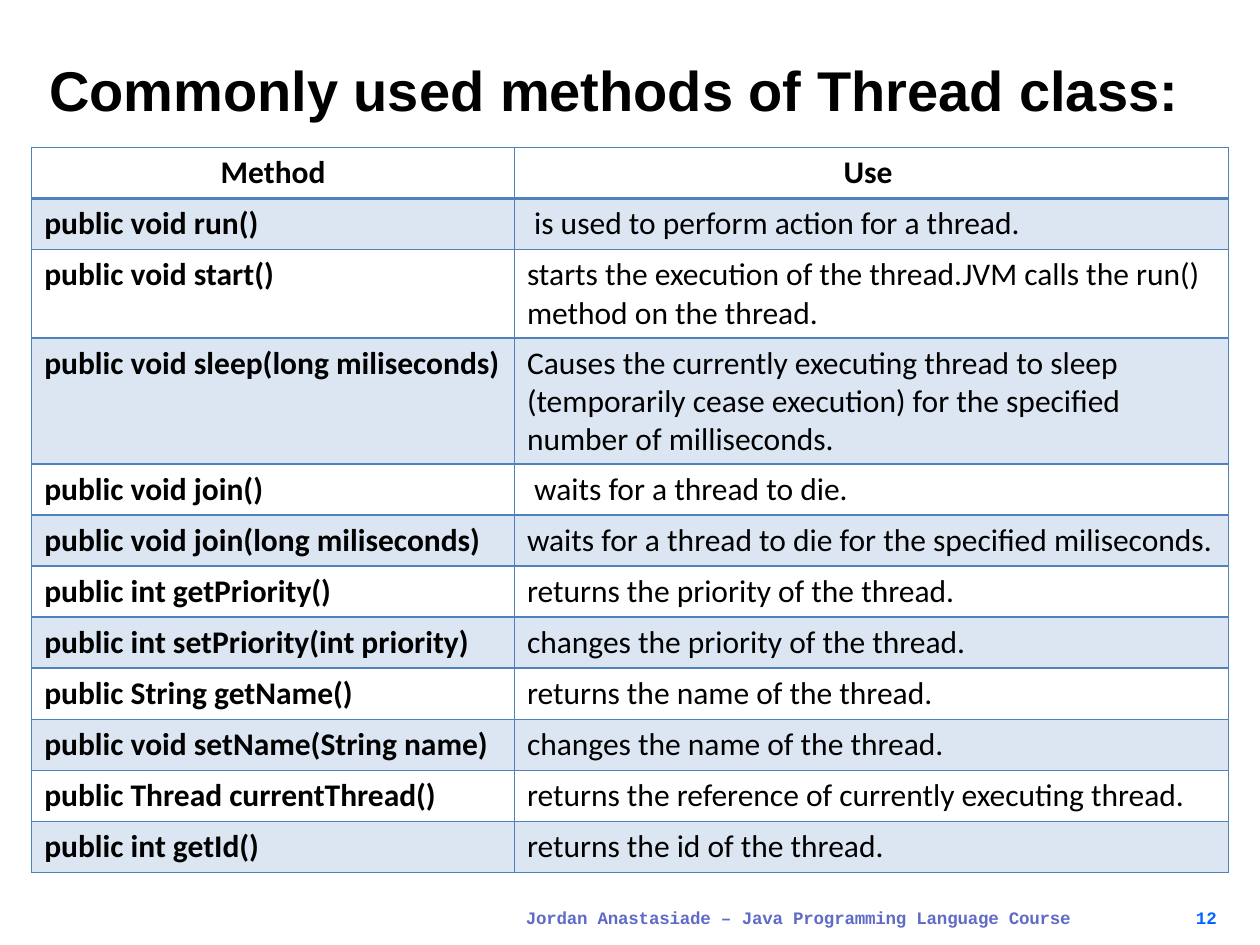
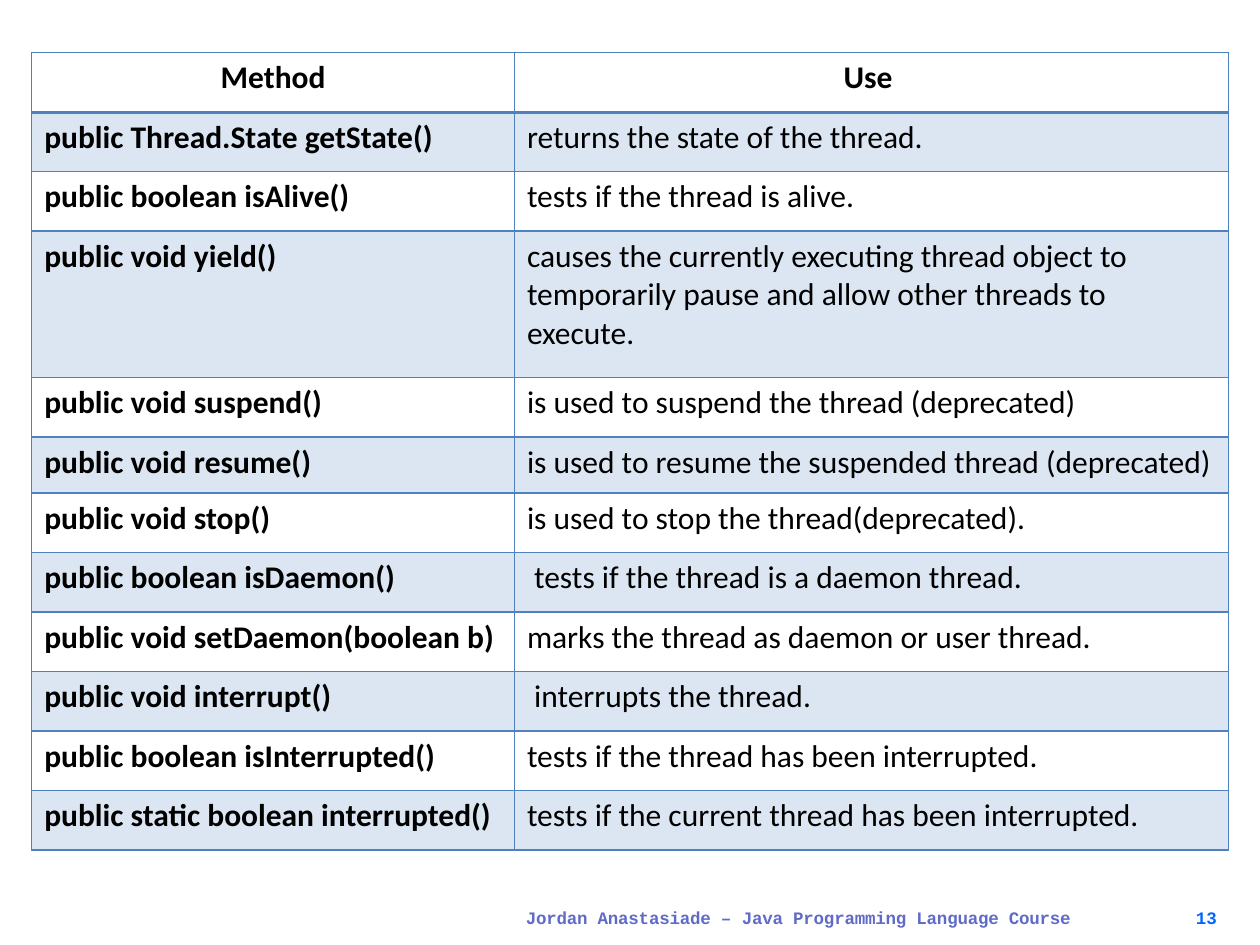
from lxml.etree import SubElement
from pptx import Presentation
from pptx.dml.color import RGBColor
from pptx.enum.text import MSO_ANCHOR, MSO_AUTO_SIZE, PP_ALIGN
from pptx.oxml.ns import qn
from pptx.util import Cm, Pt

COLORS = {"text": "000000", "border": "4F81BD", "band": "DCE6F2",
          "footer": "606BC8", "number": "0066FF"}
NBSP = "\u00a0"
COLUMNS = (9.73, 14.4)
ROW_1, ROW_2 = 1.03, 1.2

slides = [
    {
        "number": "12",
        "title": "Commonly used methods of Thread class:",
        "top": 2.97,
        "heights": [ROW_1] * 12,
        "methods": [
            ("public void run()", NBSP + "is used to perform action for a thread."),
            ("public void start()", "starts the execution of the thread.JVM calls "
             "the run() method on the thread."),
            ("public void sleep(long miliseconds)", "Causes the currently executing "
             "thread to sleep (temporarily cease execution) for the specified "
             "number of milliseconds."),
            ("public void join()", NBSP + "waits for a thread to die."),
            ("public void join(long miliseconds)",
             "waits for a thread to die for the specified miliseconds."),
            ("public int getPriority()", "returns the priority of the thread."),
            ("public int setPriority(int priority)", "changes the priority of the thread."),
            ("public String getName()", "returns the name of the thread."),
            ("public void setName(String name)", "changes the name of the thread."),
            ("public Thread currentThread()",
             "returns the reference of currently executing thread."),
            ("public int getId()", "returns the id of the thread."),
        ],
    },
    {
        "number": "13",
        "title": None,
        "top": 1.06,
        "heights": [ROW_2] * 3 + [2.95, ROW_2, 1.13] + [ROW_2] * 6,
        "methods": [
            ("public Thread.State getState()", "returns the state of the thread."),
            ("public boolean isAlive()", "tests if the thread is alive."),
            ("public void yield()", "causes the currently executing thread object to "
             "temporarily pause and allow other threads to execute."),
            ("public void suspend()", "is used to suspend the thread (deprecated)"),
            ("public void resume()", "is used to resume the suspended thread (deprecated)"),
            ("public void stop()", "is used to stop the thread(deprecated)."),
            ("public boolean isDaemon()", NBSP + "tests if the thread is a daemon thread."),
            ("public void setDaemon(boolean b)", "marks the thread as daemon or user thread."),
            ("public void interrupt()", NBSP + "interrupts the thread."),
            ("public boolean isInterrupted()", "tests if the thread has been interrupted."),
            ("public static boolean interrupted()",
             "tests if the current thread has been interrupted."),
        ],
    },
]


def add_run(p, text, font, size, color, bold=True, spacing=0):
    """Append one formatted run; spacing is in hundredths of a point."""
    r = p.add_run()
    r.text = text
    r.font.name, r.font.size, r.font.bold = font, Pt(size), bold
    r.font.color.rgb = RGBColor.from_string(COLORS[color])
    if spacing:
        r.font._element.set("spc", str(spacing))


def set_border(cell, side, width):
    """Draw one side (L, R, T or B) of a cell."""
    ln = SubElement(cell._tc.get_or_add_tcPr(), qn(f"a:ln{side}"), w=str(Pt(width)))
    fill = SubElement(ln, qn("a:solidFill"))
    SubElement(fill, qn("a:srgbClr"), val=COLORS["border"])


prs = Presentation()
prs.slide_width, prs.slide_height = Cm(25.4), Cm(19.05)
title_only, blank = prs.slide_layouts[5], prs.slide_layouts[6]

for content in slides:
    s = prs.slides.add_slide(title_only if content["title"] else blank)

    # Footer and page number: left, width, indent, runs
    footer = [("Jordan Anastasiade ", "footer", -10), ("– ", "footer", 0),
              ("Java Programming Language Course", "footer", -10)]
    number = [(content["number"], "number", 0)]
    for left, width, indent, runs in ((10.57, 11.28, 0.03, footer),
                                      (24.03, 0.56, 0.08, number)):
        sp = s.shapes.add_textbox(Cm(left), Cm(18.31), Cm(width), Cm(0.48))
        tf = sp.text_frame
        tf.word_wrap = True
        tf.margin_left = tf.margin_right = tf.margin_top = tf.margin_bottom = 0
        p = tf.paragraphs[0]
        p.line_spacing = Pt(11.3)
        p._p.get_or_add_pPr().set("marL", str(Cm(indent)))
        for text, color, spacing in runs:
            add_run(p, text, "Courier New", 10, color, spacing=spacing)

    if content["title"]:
        sp = s.shapes.title
        sp.left, sp.top, sp.width, sp.height = Cm(0.99), Cm(1.07), Cm(23.77), Cm(1.4)
        tf = sp.text_frame
        tf.word_wrap = True
        tf.auto_size = MSO_AUTO_SIZE.NONE
        tf.vertical_anchor = MSO_ANCHOR.BOTTOM
        tf.margin_left = tf.margin_right = tf.margin_top = tf.margin_bottom = 0
        p = tf.paragraphs[0]
        p.alignment = PP_ALIGN.LEFT
        add_run(p, content["title"], "Arial", 32, "text")

    # Method table: header row, then alternating bands
    rows = [("Method", "Use ")] + content["methods"]
    heights = content["heights"]
    table = s.shapes.add_table(len(rows), len(COLUMNS), Cm(0.64), Cm(content["top"]),
                               Cm(sum(COLUMNS)), Cm(sum(heights))).table
    table.horz_banding = False
    for column, width in zip(table.columns, COLUMNS):
        column.width = Cm(width)
    for i, (row, height, texts) in enumerate(zip(table.rows, heights, rows)):
        row.height = Cm(height)
        for j, (cell, text) in enumerate(zip(row.cells, texts)):
            for side in "LRTB":
                header_rule = (i, side) in ((0, "B"), (1, "T"))
                set_border(cell, side, 2 if header_rule else 1)
            if i % 2:
                cell.fill.solid()
                cell.fill.fore_color.rgb = RGBColor.from_string(COLORS["band"])
            else:
                cell.fill.background()
            p = cell.text_frame.paragraphs[0]
            p.alignment = PP_ALIGN.LEFT if i else PP_ALIGN.CENTER
            if text.startswith(NBSP):
                add_run(p, NBSP, "Calibri", 18, "text")
            add_run(p, text.lstrip(NBSP), "Calibri", 18, "text", bold=i == 0 or j == 0)

prs.save("out.pptx")
